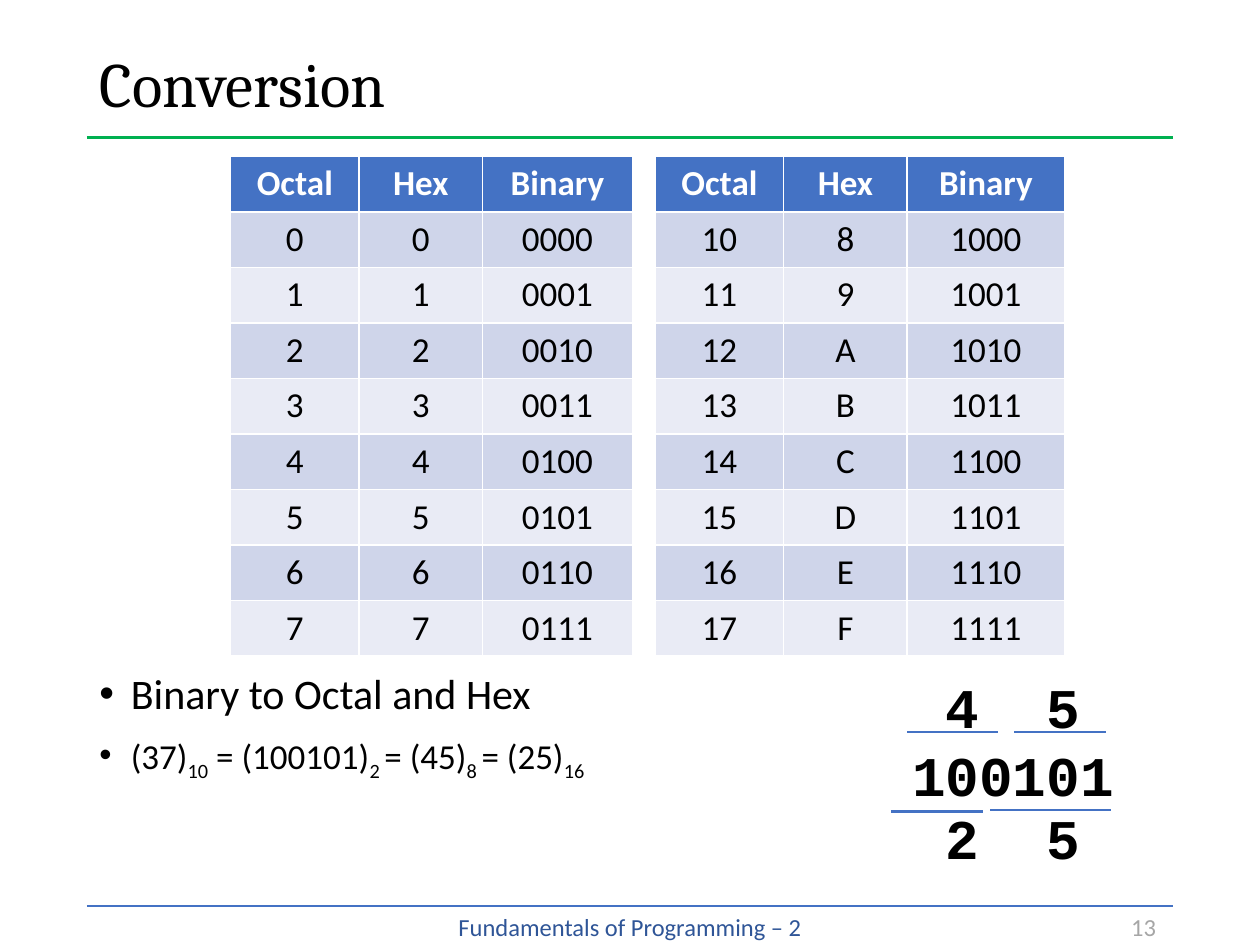
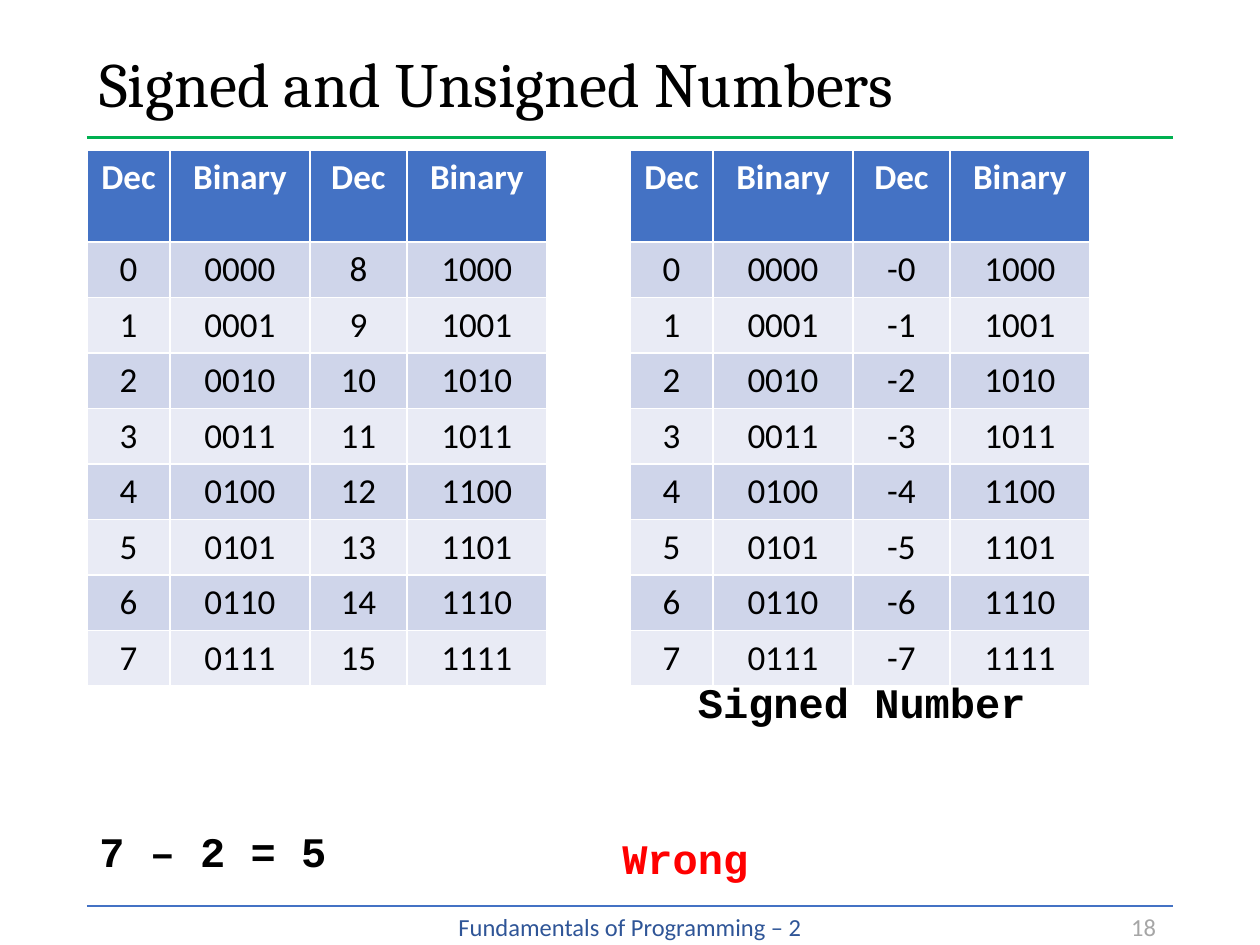
"""Build two slides on number conversion and on signed and unsigned numbers."""
from lxml import etree
from pptx import Presentation
from pptx import util as u
from pptx.dml.color import RGBColor
from pptx.enum import shapes, text as t
from pptx.oxml.ns import qn

COLORS = {
    "black": "000000", "white": "FFFFFF", "blue": "4472C4", "green": "00B050",
    "footer": "2F5597", "number": "A6A6A6", "red": "FF0000",
    "band_dark": "CFD5EA", "band_light": "E9EBF5",
}

presentation = Presentation()
presentation.slide_width = u.Inches(10)
presentation.slide_height = u.Inches(7.5)
UNIT = presentation.slide_width / 100
LEFT, RIGHT = 6.9, 93.1
WIDTH = RIGHT - LEFT
TITLE_TOP, TITLE_RULE, FOOTER_RULE = 2.9, 10.9, 71.9
TABLE_ROW = 4.4
DIGIT = 2.67


def write(frame, content, size=20, font="Calibri", color="black", bold=False,
          align="LEFT", spacing=None, before=None, bullet=False):
    """Write one paragraph; parts between bars are subscripts."""
    paragraph = frame.paragraphs[0]
    if paragraph.runs:
        paragraph = frame.add_paragraph()
    paragraph.alignment = getattr(t.PP_ALIGN, align)
    if spacing:
        paragraph.line_spacing = spacing
    if before is not None:
        paragraph.space_before = u.Pt(before)
    if bullet:
        properties = paragraph._p.get_or_add_pPr()
        properties.set("marL", str(u.Inches(0.25)))
        properties.set("indent", str(-u.Inches(0.25)))
        etree.SubElement(properties, qn("a:buFont")).set("typeface", "Arial")
        etree.SubElement(properties, qn("a:buChar")).set("char", "•")
    for index, part in enumerate(content.split("|")):
        run = paragraph.add_run()
        run.text = part
        run.font.size = u.Pt(size)
        run.font.name = font
        run.font.bold = bold
        run.font.color.rgb = RGBColor.from_string(COLORS[color])
        if index % 2:
            run._r.get_or_add_rPr().set("baseline", "-25000")


def add_line(slide, left, right, top, color="blue", weight=1.5):
    """Draw a level line across the grid."""
    line = slide.shapes.add_connector(
        shapes.MSO_CONNECTOR.STRAIGHT,
        *(int(length * UNIT) for length in (left, top, right, top)))
    line.line.color.rgb = RGBColor.from_string(COLORS[color])
    line.line.width = u.Pt(weight)
    etree.SubElement(line._element.spPr, qn("a:effectLst"))


low, high = range(8), range(8, 16)
octal_header = ["Octal", "Hex", "Binary"]
decimal_header = ["Dec", "Binary"] * 2
octal_low, octal_high = (
    [octal_header] + [[f"{n:o}", f"{n:X}", f"{n:04b}"] for n in half]
    for half in (low, high))
unsigned, signed = (
    [decimal_header]
    + [[str(n), f"{n:04b}", f"{sign}{n + shift}", f"{n + 8:04b}"] for n in low]
    for sign, shift in (("", 8), ("-", 0)))
decimal_columns = [6.6, 11.1, 7.7, 11.1]

code = dict(font="Courier New", bold=True)
big_code = dict(code, size=32)
item = dict(align="JUSTIFY", spacing=0.9, before=10, bullet=True)
code_left = 71.4
digits = [
    ((code_left + place * DIGIT, top, 4.7, 6.4), False, [(digit, big_code)])
    for top, pair in ((52.9, "45"), (63.3, "25"))
    for place, digit in zip((1, 4), pair)]

pages = [
    {
        "title": "Conversion", "number": "13",
        "tables": [(18.3, 12.4, [10.2, 9.8, 11.9], TABLE_ROW, octal_low),
                   (52, 12.4, [10.2, 9.8, 12.5], TABLE_ROW, octal_high)],
        "boxes": [
            ((LEFT, 52.9, WIDTH, 18), True, [
                ("Binary to Octal and Hex", dict(item, size=24)),
                ("(37)|10| = (100101)|2 |= (45)|8 |= (25)|16", item)]),
            ((code_left, 58.3, 18.2, 6.4), False, [("100101", big_code)]),
            *digits],
        "lines": [(80.5, 87.8, 58.1), (72, 79.2, 58.1),
                  (78.6, 88.2, 64.3), (70.7, 78, 64.4)],
    },
    {
        "title": "Signed and Unsigned Numbers", "number": "18",
        "tables": [(left, 11.9, decimal_columns, 7.3, rows)
                   for left, rows in ((LEFT, unsigned), (50, signed))],
        "boxes": [
            ((LEFT, 65, 20.2, 5), False, [("7 – 2 = 5", dict(code, size=24))]),
            ((48.4, 65.6, 12.1, 5), False,
             [("Wrong", dict(code, size=24, color="red"))]),
            ((54.4, 53.2, 28.2, 5), False,
             [("Signed Number", dict(code, size=24))])],
        "lines": [],
    },
]

for page in pages:
    slide = presentation.slides.add_slide(presentation.slide_layouts[6])
    add_line(slide, LEFT, RIGHT, FOOTER_RULE, weight=1)
    add_line(slide, LEFT, RIGHT, TITLE_RULE, color="green", weight=2)

    for left, top, columns, header_height, rows in page["tables"]:
        heights = [header_height] + [TABLE_ROW] * (len(rows) - 1)
        area = (left, top, sum(columns), sum(heights))
        table = slide.shapes.add_table(
            len(rows), len(columns), *(int(length * UNIT) for length in area)).table
        for column, width in zip(table.columns, columns):
            column.width = int(width * UNIT)
        for index, (row, height) in enumerate(zip(rows, heights)):
            table.rows[index].height = int(height * UNIT)
            band = "band_dark" if index % 2 else "band_light"
            for cell, value in zip(table.rows[index].cells, row):
                cell.fill.solid()
                cell.fill.fore_color.rgb = RGBColor.from_string(
                    COLORS[band if index else "blue"])
                write(cell.text_frame, value, align="CENTER", bold=index == 0,
                      color="black" if index else "white")

    title = ((LEFT, TITLE_TOP, WIDTH, TITLE_RULE - TITLE_TOP), True,
             [(page["title"], dict(size=36, font="Cambria", spacing=0.9))])
    footer = ((LEFT, FOOTER_RULE, WIDTH, 3.1), True,
              [("Fundamentals of Programming – 2",
                dict(size=14, color="footer", align="CENTER"))])
    number = ((88.8, FOOTER_RULE, 4.3, 3.1), True,
              [(page["number"], dict(size=14, color="number"))])
    for area, wrap, paragraphs in [title, footer, number, *page["boxes"]]:
        frame = slide.shapes.add_textbox(
            *(int(length * UNIT) for length in area)).text_frame
        frame.word_wrap = wrap
        if area[1] == TITLE_TOP:
            frame.vertical_anchor = t.MSO_ANCHOR.MIDDLE
        for content, style in paragraphs:
            write(frame, content, **style)

    for left, right, top in page["lines"]:
        add_line(slide, left, right, top)

presentation.save("out.pptx")
